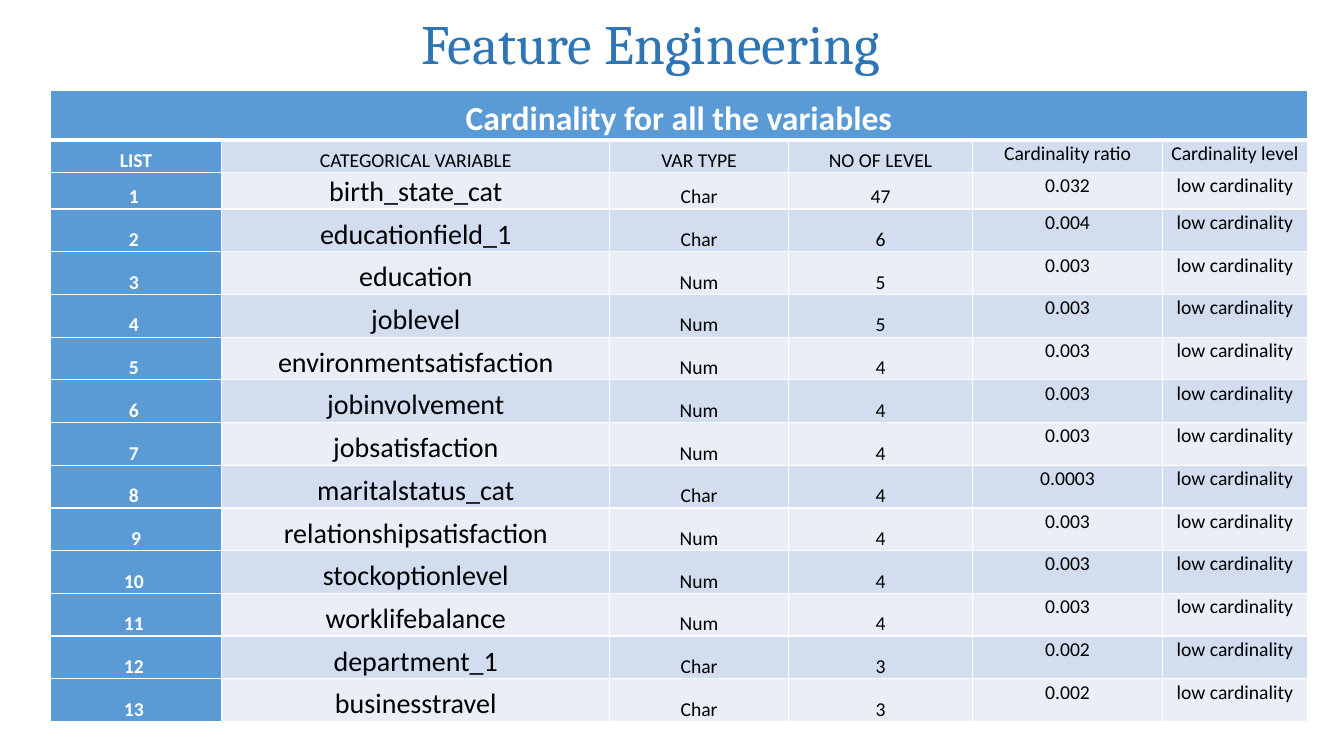
import lxml.etree
import pptx
import pptx.dml.color
import pptx.enum.text
import pptx.oxml.ns
import pptx.util

ANCHOR = pptx.enum.text.MSO_ANCHOR
HARD_SPACE = chr(160)

COLUMN_WIDTHS = [12.75, 28.88, 13.28, 13.73, 14.1, 10.8]  # percent of slide width
ROW_HEIGHTS = [6.53, 4.27, 4.85] + [5.65] * 12  # percent of slide height

CAPTION = "Cardinality for all the variables"
HEADINGS = ["LIST", "CATEGORICAL VARIABLE", "VAR TYPE", "NO OF LEVEL",
            "Cardinality ratio", "Cardinality level"]
VARIABLES = [
    ("birth_state_cat", "Char", "47", "0.032"),
    ("educationfield_1", "Char", "6", "0.004"),
    ("education", "Num", "5", "0.003"),
    ("joblevel", "Num", "5", "0.003"),
    ("environmentsatisfaction", "Num", "4", "0.003"),
    ("jobinvolvement", "Num", "4", "0.003"),
    ("jobsatisfaction", "Num", "4", "0.003"),
    ("maritalstatus_cat", "Char", "4", "0.0003"),
    ("relationshipsatisfaction", "Num", "4", "0.003"),
    ("stockoptionlevel", "Num", "4", "0.003"),
    ("worklifebalance", "Num", "4", "0.003"),
    ("department_1", "Char", "3", "0.002"),
    ("businesstravel", "Char", "3", "0.002"),
]


def color(value):
    return pptx.dml.color.RGBColor.from_string(value)


class SlideBuilder:
    white, black, blue, title_blue = "FFFFFF", "000000", "5B9BD5", "2E75B6"
    bands = ["EAEFF7", "D2DEEF"]
    title_font, body_font = "Cambria", "Calibri"

    def __init__(self, deck):
        self.deck = deck
        self.slide = deck.slides.add_slide(deck.slide_layouts[5])

    def across(self, percent):
        return round(self.deck.slide_width * percent / 100)

    def down(self, percent):
        return round(self.deck.slide_height * percent / 100)

    def styled_text(self, para, text, font, size, hue, bold=False):
        para.text = text
        para.alignment = pptx.enum.text.PP_ALIGN.CENTER
        for span in para.runs:
            span.font.name = font
            span.font.size = pptx.util.Pt(size)
            span.font.bold = bold
            span.font.color.rgb = color(hue)

    def title(self, text, left, top, width, height):
        box = self.slide.shapes.title
        box.left, box.top = self.across(left), self.down(top)
        box.width, box.height = self.across(width), self.down(height)
        frame = box.text_frame
        frame.auto_size = pptx.enum.text.MSO_AUTO_SIZE.NONE
        frame.vertical_anchor = ANCHOR.MIDDLE
        self.styled_text(frame.paragraphs[0], text, self.title_font, 39.6,
                         self.title_blue)

    def table(self, left, top, widths, heights):
        frame = self.slide.shapes.add_table(
            len(heights), len(widths), self.across(left), self.down(top),
            self.across(sum(widths)), self.down(sum(heights)))
        table = frame.table
        for column, width in zip(table.columns, widths):
            column.width = self.across(width)
        for row, height in zip(table.rows, heights):
            row.height = self.down(height)
        return table

    def borders(self, cell, **widths):
        properties = cell._tc.get_or_add_tcPr()
        qn = pptx.oxml.ns.qn
        for side in "LRTB":
            line = lxml.etree.SubElement(properties, qn(f"a:ln{side}"))
            line.set("w", str(pptx.util.Pt(widths.get(side, 1))))
            fill = lxml.etree.SubElement(line, qn("a:solidFill"))
            lxml.etree.SubElement(fill, qn("a:srgbClr")).set("val", self.white)

    def cell(self, cell, text, size, fill, hue, bold, anchor, **border_widths):
        self.borders(cell, **border_widths)
        cell.fill.solid()
        cell.fill.fore_color.rgb = color(fill)
        cell.margin_left = cell.margin_right = pptx.util.Inches(0.06)
        cell.margin_top = cell.margin_bottom = 0
        cell.vertical_anchor = anchor
        para = cell.text_frame.paragraphs[0]
        para.line_spacing = 1.07
        para.space_after = pptx.util.Pt(0.9)
        self.styled_text(para, text, self.body_font, size, hue, bold)

    def caption_row(self, table, text):
        last = len(table.columns) - 1
        table.cell(0, 0).merge(table.cell(0, last))
        for column in range(last + 1):
            self.cell(table.cell(0, column), "" if column else text, 24,
                      self.blue, self.white, True, ANCHOR.BOTTOM, B=3)

    def row(self, table, index, values, name_size):
        top_border = 3 if index == 1 else 1
        for column, text in enumerate(values):
            first = column == 0
            self.cell(table.cell(index, column), text,
                      name_size if column == 1 else 14,
                      self.blue if first else self.bands[index % 2],
                      self.white if first else self.black, first,
                      ANCHOR.BOTTOM if column < 4 else ANCHOR.TOP, T=top_border)


def main():
    deck = pptx.Presentation()
    deck.slide_width = pptx.util.Inches(13.33)
    deck.slide_height = pptx.util.Inches(7.5)
    page = SlideBuilder(deck)

    # Title
    page.title("Feature Engineering", 3.75, 2, 89.35, 7.07)

    # Cardinality table
    table = page.table(3.75, 12, COLUMN_WIDTHS, ROW_HEIGHTS)
    page.caption_row(table, CAPTION)
    page.row(table, 1, HEADINGS, 14)
    for number, variable in enumerate(VARIABLES, start=1):
        label = str(number) if number == 9 else f"{number}{HARD_SPACE}"
        page.row(table, number + 1, [label, *variable, "low cardinality"], 20)

    deck.save("out.pptx")


if __name__ == "__main__":
    main()
